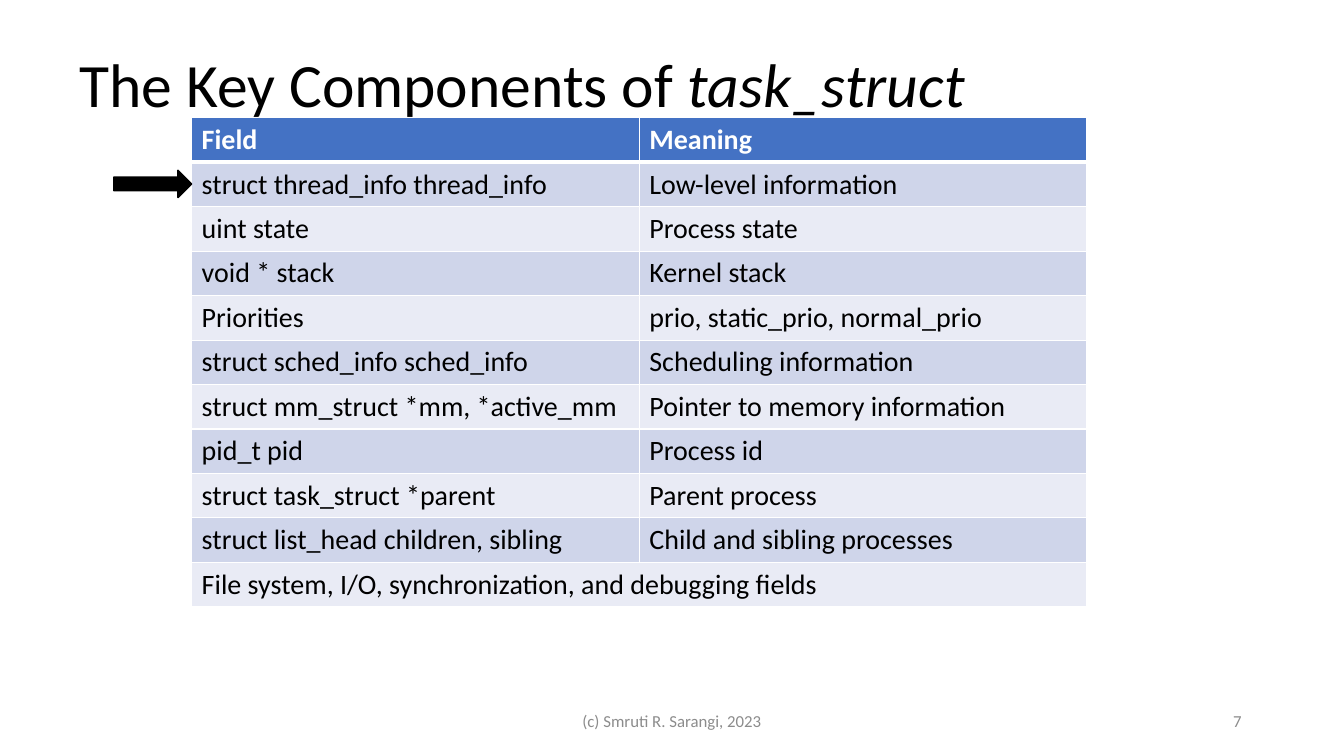
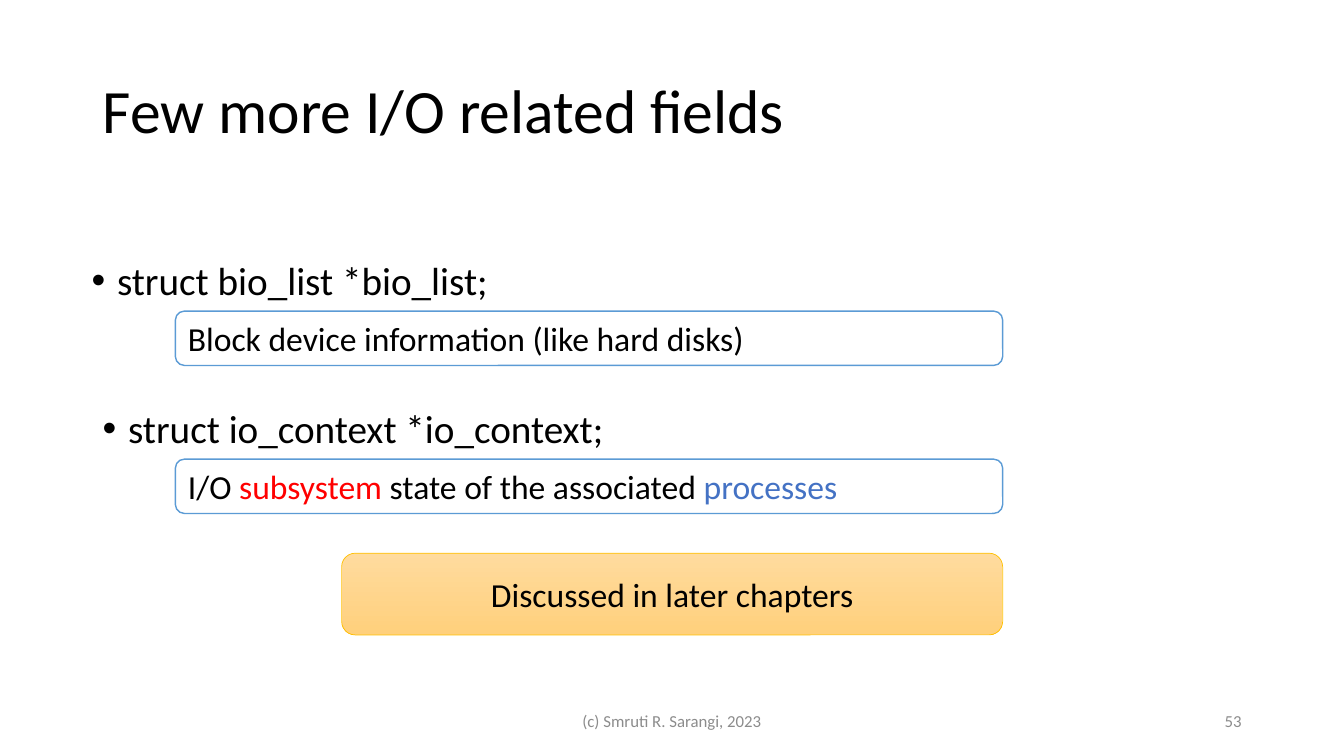
import lxml.etree
import pptx
import pptx.dml.color
import pptx.enum.shapes
import pptx.enum.text
import pptx.oxml.ns
import pptx.util

Cm = pptx.util.Cm
Pt = pptx.util.Pt
RGB = pptx.dml.color.RGBColor
ALIGN = pptx.enum.text.PP_ALIGN
MIDDLE = pptx.enum.text.MSO_ANCHOR.MIDDLE
SHAPE = pptx.enum.shapes.MSO_SHAPE
qn = pptx.oxml.ns.qn

FONT = "Calibri"
BLACK = RGB(0x00, 0x00, 0x00)
WHITE = RGB(0xFF, 0xFF, 0xFF)
GRAY = RGB(0x8C, 0x8C, 0x8C)
RED = RGB(0xFF, 0x00, 0x00)
BLUE = RGB(0x44, 0x72, 0xC4)
SKY = RGB(0x5B, 0x9B, 0xD5)
BANDS = (RGB(0xE9, 0xEB, 0xF5), RGB(0xCF, 0xD5, 0xEA))
GOLD = RGB(0xFF, 0xC0, 0x00)
PEACH = RGB(0xFF, 0xDB, 0x9E)
AMBER = RGB(0xFF, 0xD0, 0x7C)

FIELDS = [
    ("Field", "Meaning"),
    ("struct thread_info thread_info", "Low-level information"),
    ("uint state", "Process state"),
    ("void * stack", "Kernel stack"),
    ("Priorities", "prio, static_prio, normal_prio"),
    ("struct sched_info sched_info", "Scheduling information"),
    ("struct mm_struct *mm, *active_mm", "Pointer to memory information"),
    ("pid_t pid", "Process id"),
    ("struct task_struct *parent", "Parent process"),
    ("struct list_head children, sibling", "Child and sibling processes"),
    ("File system, I/O, synchronization, and debugging fields",),
]
ROW = 1.12
COL = 11.28


# Text
def style(run, size, color=BLACK, bold=False, italic=False):
    font = run.font
    font.name = FONT
    font.size = Pt(size)
    font.color.rgb = color
    font.bold = bold
    font.italic = italic


def write(frame, parts, size, align=ALIGN.LEFT):
    """Fill the first paragraph; parts are (text, run style) pairs."""
    para = frame.paragraphs[0]
    para.alignment = align
    for text, look in parts:
        run = para.add_run()
        run.text = text
        style(run, size, **look)
    return para


def label(slide, at, parts, size, align=ALIGN.LEFT, anchor=MIDDLE):
    frame = slide.shapes.add_textbox(*map(Cm, at)).text_frame
    frame.word_wrap = True
    frame.vertical_anchor = anchor
    return write(frame, parts, size, align)


def title(slide, left, top, parts):
    para = label(slide, (left, top, 29.21, 3.68), parts, 44)
    para.line_spacing = 0.9


def footer(slide, number):
    look = {"color": GRAY}
    label(slide, (11.22, 17.65, 11.43, 1.02),
          [("(c) Smruti R. Sarangi, 2023", look)], 12, ALIGN.CENTER)
    label(slide, (23.92, 17.65, 7.62, 1.02),
          [(str(number), look)], 12, ALIGN.RIGHT)


def bullet(slide, left, top, text):
    para = label(slide, (left, top, 29.21, 1.37), [(text, {})], 28,
                 anchor=pptx.enum.text.MSO_ANCHOR.TOP)
    para.line_spacing = 0.9
    props = para._p.get_or_add_pPr()
    props.set("marL", str(Cm(0.64)))
    props.set("indent", str(-Cm(0.64)))
    lxml.etree.SubElement(props, qn("a:buFont")).set("typeface", "Arial")
    lxml.etree.SubElement(props, qn("a:buChar")).set("char", "•")


# Shapes
def shape(slide, kind, at, line, width):
    item = slide.shapes.add_shape(kind, *map(Cm, at))
    item.shadow.inherit = False
    item.line.color.rgb = line
    item.line.width = Pt(width)
    return item


def solid(item, color):
    item.fill.solid()
    item.fill.fore_color.rgb = color


def box(slide, at, parts, line, width=1, align=ALIGN.LEFT):
    item = shape(slide, SHAPE.ROUNDED_RECTANGLE, at, line, width)
    solid(item, WHITE)
    item.text_frame.word_wrap = True
    item.text_frame.vertical_anchor = MIDDLE
    write(item.text_frame, parts, 24, align)
    return item


# Table
def edge(cell, side, width):
    props = cell._tc.get_or_add_tcPr()
    line = lxml.etree.SubElement(props, qn("a:" + side))
    line.set("w", str(Pt(width)))
    fill = lxml.etree.SubElement(line, qn("a:solidFill"))
    lxml.etree.SubElement(fill, qn("a:srgbClr")).set("val", str(WHITE))


def grid(slide, left, top, rows):
    size = (left, top, 2 * COL, ROW * len(rows))
    table = slide.shapes.add_table(len(rows), 2, *map(Cm, size)).table
    for col in table.columns:
        col.width = Cm(COL)
    for i, texts in enumerate(rows):
        table.rows[i].height = Cm(ROW)
        head = i == 0
        for j in range(2):
            cell = table.cell(i, j)
            edge(cell, "lnL", 1)
            edge(cell, "lnR", 1)
            edge(cell, "lnT", 3 if i == 1 else 1)
            edge(cell, "lnB", 3 if head else 1)
            solid(cell, BLUE if head else BANDS[i % 2])
        if len(texts) == 1:
            table.cell(i, 0).merge(table.cell(i, 1))
        for j, text in enumerate(texts):
            look = {"color": WHITE if head else BLACK, "bold": head}
            write(table.cell(i, j).text_frame, [(text, look)], 20)


# Slides
def parts_slide(slide):
    title(slide, 1.75, 0.36, [("The Key Components of ", {}),
                              ("task_struct", {"italic": True})])
    grid(slide, 4.83, 2.97, FIELDS)
    arrow = shape(slide, SHAPE.RIGHT_ARROW, (2.87, 4.29, 1.96, 0.69), BLACK, 1)
    solid(arrow, BLACK)
    footer(slide, 7)


def disk_slide(slide):
    title(slide, 2.34, 1.02, [("Few more I/O related fields", {})])
    items = [
        (2.06, 6.46, "struct bio_list *bio_list;",
         [("Block device information (like hard disks)", {})]),
        (2.34, 10.19, "struct io_context *io_context;",
         [("I/O ", {}), ("subsystem", {"color": RED}),
          (" state of the associated ", {}), ("processes", {"color": BLUE})]),
    ]
    for left, top, text, parts in items:
        bullet(slide, left, top, text)
        box(slide, (4.42, top + 1.38, 20.85, 1.37), parts, SKY)
    note = box(slide, (8.61, 13.94, 16.66, 2.06),
               [("Discussed in later chapters", {})], GOLD, 0.5, ALIGN.CENTER)
    note.fill.gradient()
    note.fill.gradient_angle = 270
    for stop, color in zip(note.fill.gradient_stops, (PEACH, AMBER)):
        stop.color.rgb = color
    footer(slide, 53)


def main():
    deck = pptx.Presentation()
    deck.slide_width = Cm(33.87)
    deck.slide_height = Cm(19.05)
    for build in (parts_slide, disk_slide):
        build(deck.slides.add_slide(deck.slide_layouts[6]))
    deck.save("out.pptx")


if __name__ == "__main__":
    main()
